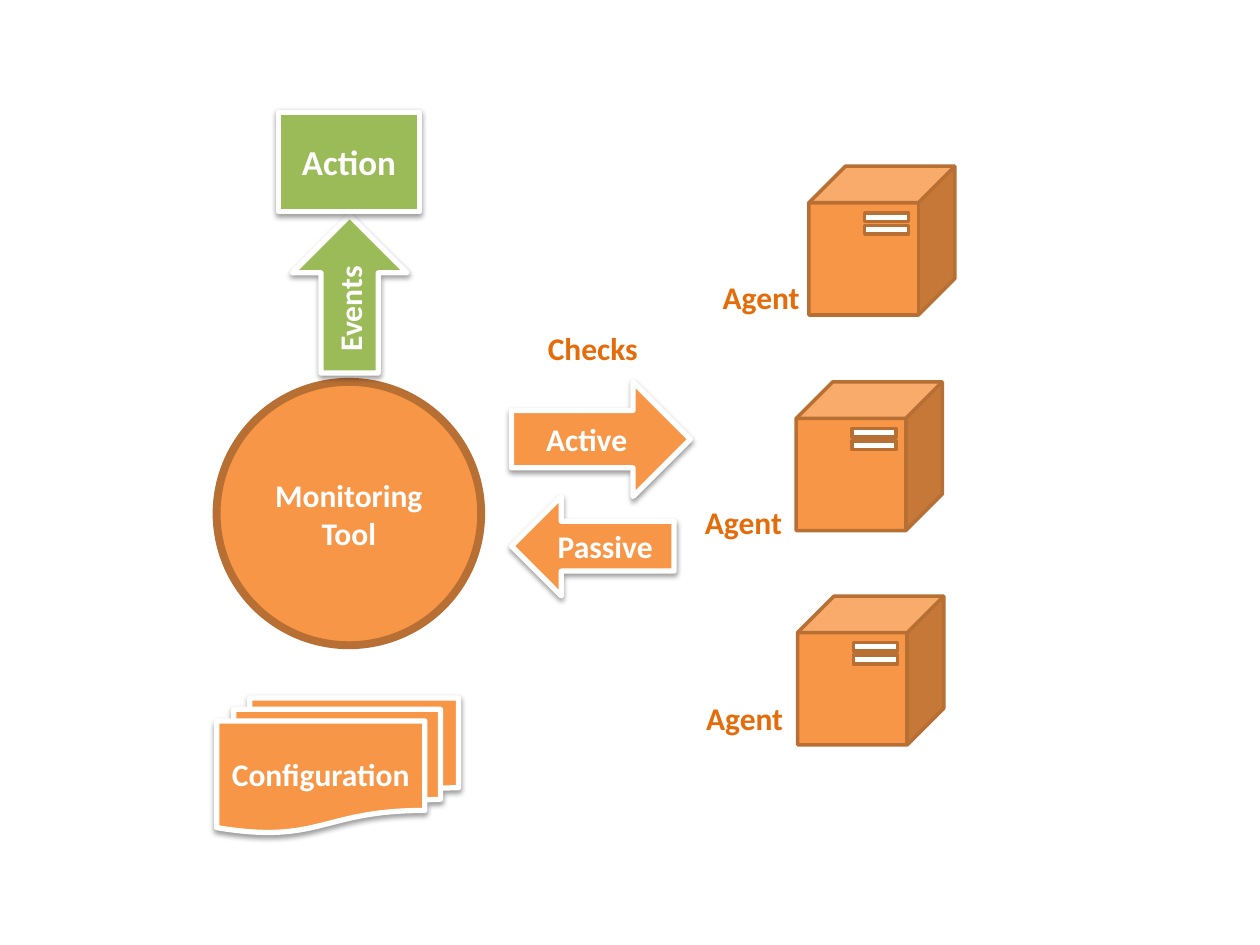
from typing import NamedTuple

from lxml.etree import SubElement
from pptx import Presentation
from pptx.dml.color import RGBColor
from pptx.enum.shapes import MSO_SHAPE
from pptx.enum.text import MSO_ANCHOR, MSO_AUTO_SIZE, PP_ALIGN
from pptx.oxml.ns import qn
from pptx.shapes.autoshape import Shape
from pptx.slide import Slide
from pptx.text.text import TextFrame
from pptx.util import Pt

WHITE = RGBColor(0xFF, 0xFF, 0xFF)
ORANGE = RGBColor(0xF7, 0x96, 0x46)
DARK_ORANGE = RGBColor(0xB7, 0x6F, 0x34)
LABEL_ORANGE = RGBColor(0xE4, 0x6C, 0x0A)
GREEN = RGBColor(0x9B, 0xBB, 0x59)

FONT = "Calibri"
TEXT_SIZE = 18
LABEL_HEIGHT = 28.8
AGENT_LABEL_WIDTH = 80.6
CUBE_WIDTH, CUBE_HEIGHT = 83.5, 85
SLOT_LEFT, SLOT_WIDTH, SLOT_HEIGHT = 31.9, 25.2, 5
SLOT_TOPS = (26.6, 33.8)


class Box(NamedTuple):
    left: float
    top: float
    width: float
    height: float

    def lengths(self) -> tuple[Pt, ...]:
        return tuple(Pt(value) for value in self)


class Node(NamedTuple):
    text: str
    preset: MSO_SHAPE
    box: Box
    fill: RGBColor = ORANGE
    line: RGBColor = WHITE
    line_width: float = 3
    text_size: float = TEXT_SIZE
    rotation: float = 0
    shadow: bool = True


class Agent(NamedTuple):
    cube_left: float
    cube_top: float
    label_left: float
    label_top: float


MONITORING = Node("Monitoring Tool", MSO_SHAPE.OVAL, Box(123.8, 218.2, 151.2, 150.5),
                  line=DARK_ORANGE, line_width=4.5, shadow=False)
CONFIGURATION = Node("Configuration", MSO_SHAPE.FLOWCHART_MULTIDOCUMENT,
                     Box(123.8, 398.9, 138.2, 77))
FLOWS = (
    Node("Active", MSO_SHAPE.RIGHT_ARROW, Box(292.3, 218.2, 102.2, 65.5)),
    Node("Passive", MSO_SHAPE.LEFT_ARROW, Box(292.3, 283.7, 92.9, 56.9)),
    Node("Events", MSO_SHAPE.RIGHT_ARROW, Box(154.8, 135.4, 90, 65.5),
         fill=GREEN, rotation=270),
    Node("Action", MSO_SHAPE.RECTANGLE, Box(159.1, 64.1, 80.6, 56.9),
         fill=GREEN, text_size=20),
)
AGENTS = (
    Agent(455.8, 340.6, 385.2, 396),
    Agent(455, 218.2, 384.5, 283.7),
    Agent(462.2, 95, 394.6, 155.5),
)


def write_centred(frame: TextFrame, text: str, size: float, color: RGBColor) -> None:
    frame.text = text
    frame.word_wrap = True
    paragraph = frame.paragraphs[0]
    paragraph.alignment = PP_ALIGN.CENTER
    font = paragraph.runs[0].font
    font.name = FONT
    font.size = Pt(size)
    font.bold = True
    font.color.rgb = color


def paint(shape: Shape, fill: RGBColor, line: RGBColor, line_width: float) -> None:
    shape.shadow.inherit = False
    shape.fill.solid()
    shape.fill.fore_color.rgb = fill
    shape.line.color.rgb = line
    shape.line.width = Pt(line_width)


def add_drop_shadow(shape: Shape) -> None:
    """Put a soft black shadow below the shape, whatever its rotation."""
    effects = shape.element.spPr.find(qn("a:effectLst"))
    shadow = SubElement(effects, qn("a:outerShdw"), blurRad=str(Pt(3.1)),
                        dist=str(Pt(1.6)), dir="5400000", rotWithShape="0")
    black = SubElement(shadow, qn("a:srgbClr"), val="000000")
    SubElement(black, qn("a:alpha"), val="38000")


def add_node(slide: Slide, node: Node) -> None:
    shape = slide.shapes.add_shape(node.preset, *node.box.lengths())
    shape.rotation = node.rotation
    paint(shape, node.fill, node.line, node.line_width)
    if node.shadow:
        add_drop_shadow(shape)
    shape.text_frame.vertical_anchor = MSO_ANCHOR.MIDDLE
    write_centred(shape.text_frame, node.text, node.text_size, WHITE)


def add_label(slide: Slide, text: str, box: Box) -> None:
    label = slide.shapes.add_textbox(*box.lengths())
    write_centred(label.text_frame, text, TEXT_SIZE, LABEL_ORANGE)
    label.text_frame.auto_size = MSO_AUTO_SIZE.SHAPE_TO_FIT_TEXT


def add_server(slide: Slide, agent: Agent) -> None:
    """Group a cube with the two slots on its front face."""
    server = slide.shapes.add_group_shape()
    cube_box = Box(agent.cube_left, agent.cube_top, CUBE_WIDTH, CUBE_HEIGHT)
    cube = server.shapes.add_shape(MSO_SHAPE.CUBE, *cube_box.lengths())
    paint(cube, ORANGE, DARK_ORANGE, 2)
    for slot_top in SLOT_TOPS:
        slot_box = Box(agent.cube_left + SLOT_LEFT, agent.cube_top + slot_top,
                       SLOT_WIDTH, SLOT_HEIGHT)
        slot = server.shapes.add_shape(MSO_SHAPE.RECTANGLE, *slot_box.lengths())
        paint(slot, WHITE, DARK_ORANGE, 2)


def main() -> None:
    presentation = Presentation()
    presentation.slide_width = Pt(720)
    presentation.slide_height = Pt(540)
    slide = presentation.slides.add_slide(presentation.slide_layouts.get_by_name("Blank"))

    add_node(slide, MONITORING)
    add_node(slide, CONFIGURATION)
    for agent in AGENTS:
        add_server(slide, agent)
    for agent in AGENTS:
        add_label(slide, "Agent", Box(agent.label_left, agent.label_top,
                                      AGENT_LABEL_WIDTH, LABEL_HEIGHT))
    for flow in FLOWS:
        add_node(slide, flow)
    add_label(slide, "Checks", Box(292.3, 184.3, 92.9, LABEL_HEIGHT))

    presentation.save("out.pptx")


if __name__ == "__main__":
    main()
